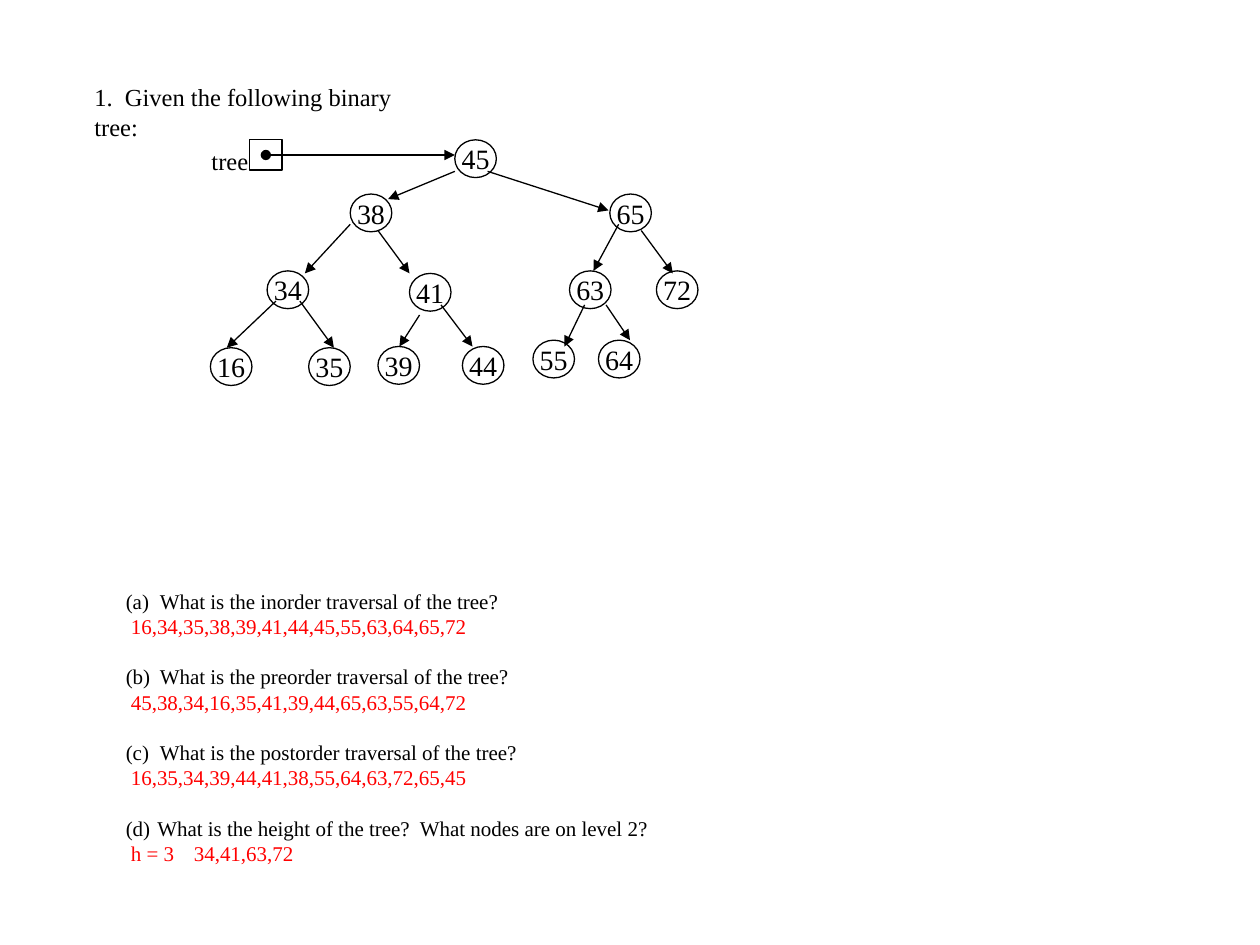
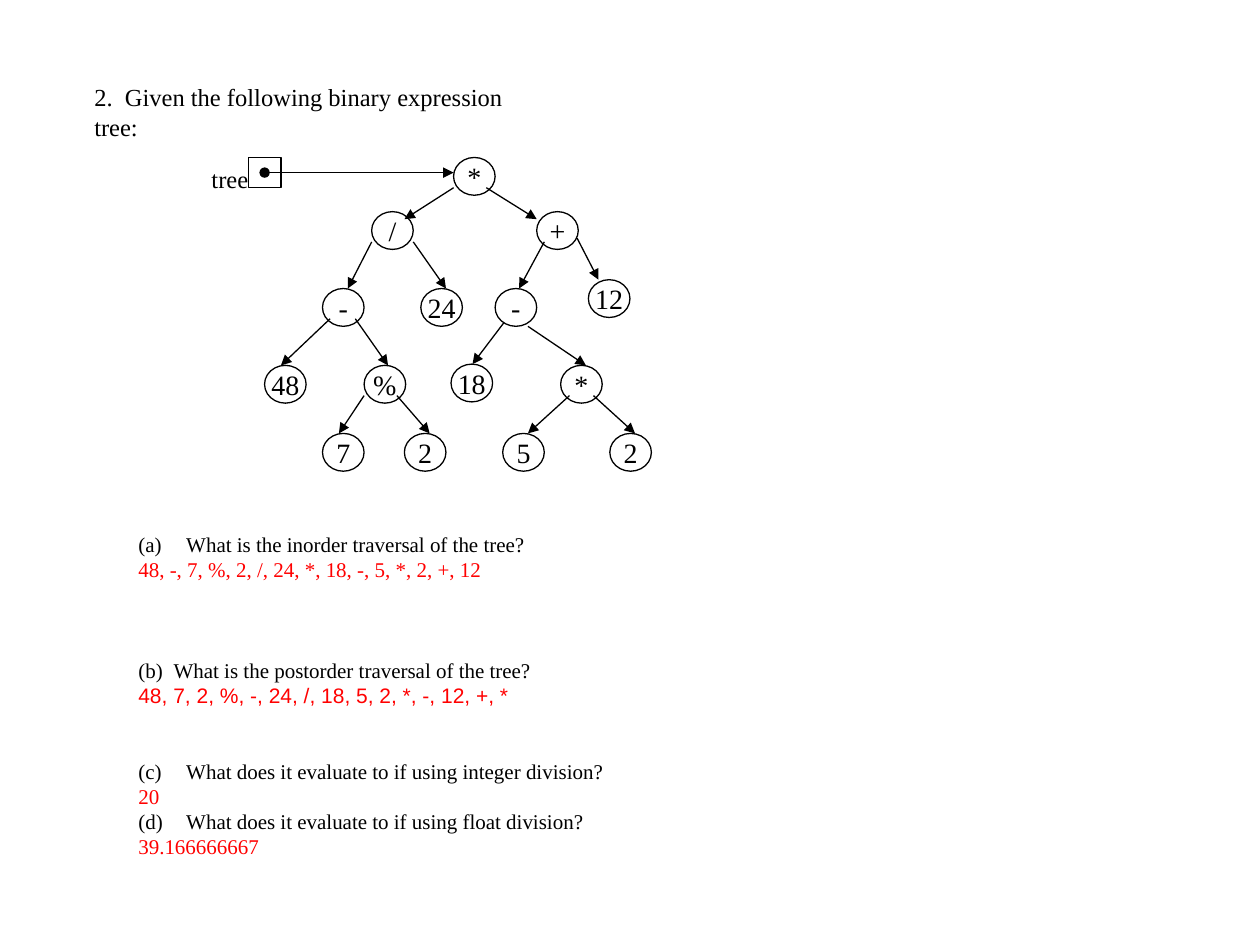
from dataclasses import dataclass

from lxml import etree
from pptx import Presentation
from pptx import util as u
from pptx.dml.color import RGBColor
from pptx.enum import shapes, text
from pptx.oxml.ns import qn

PX = 9144  # EMU per px, 100 px to the inch


def px(length):
    return u.Emu(length * PX)


@dataclass(frozen=True)
class Theme:
    ink: RGBColor = RGBColor(0, 0, 0)
    answer: RGBColor = RGBColor(255, 0, 0)
    serif: str = "Times New Roman"
    sans: str = "Arial"
    prompt_size: int = 14
    prompt_pitch: float = 17
    question_size: int = 12
    question_pitch: float = 14.4
    node_size: int = 16
    line_width: float = 0.75
    node_width: int = 33
    node_height: int = 30


class Worksheet:
    def __init__(self, theme):
        self.theme = theme
        self.deck = Presentation()
        self.deck.slide_width, self.deck.slide_height = px(1000), px(750)

    def new_slide(self):
        self.slide = self.deck.slides.add_slide(self.deck.slide_layouts[6])

    def new_tree(self):
        self.tree = self.slide.shapes.add_group_shape()

    def add_words(self, paragraph, words, size, color=None, font=None):
        run = paragraph.add_run()
        run.text = words
        values = {"size": u.Pt(size), "name": font or self.theme.serif}
        for name, value in values.items():
            setattr(run.font, name, value)
        run.font.color.rgb = color or self.theme.ink

    def frame(self, parent, left, top, width, height, wrap=True):
        box = parent.shapes.add_textbox(*map(px, (left, top, width, height)))
        box.text_frame.word_wrap = wrap
        return box.text_frame

    def prompt(self, words, width):
        paragraph = self.frame(self.slide, 65, 60, width, 33).paragraphs[0]
        paragraph.line_spacing = u.Pt(self.theme.prompt_pitch)
        self.add_words(paragraph, words, self.theme.prompt_size)

    def outline(self, shape):
        shape.shadow.inherit = False
        shape.fill.background()
        shape.line.color.rgb = self.theme.ink
        shape.line.width = u.Pt(self.theme.line_width)

    def node(self, label, left, top):
        t = self.theme
        oval = self.tree.shapes.add_shape(
            shapes.MSO_SHAPE.OVAL, px(left), px(top), px(t.node_width), px(t.node_height))
        self.outline(oval)
        frame = oval.text_frame
        values = {"margin_left": 0, "margin_right": 0, "margin_top": 0, "margin_bottom": 0,
                  "word_wrap": False, "vertical_anchor": text.MSO_ANCHOR.MIDDLE}
        for name, value in values.items():
            setattr(frame, name, value)
        paragraph = frame.paragraphs[0]
        paragraph.alignment = text.PP_ALIGN.CENTER
        self.add_words(paragraph, label, t.node_size)

    def arrow(self, x1, y1, x2, y2, head=None):
        link = self.tree.shapes.add_connector(
            shapes.MSO_CONNECTOR.STRAIGHT, *map(px, (x1, y1, x2, y2)))
        link.line.color.rgb = self.theme.ink
        link.line.width = u.Pt(self.theme.line_width)
        properties = link._element.spPr
        line = properties.find(qn("a:ln"))
        for end, kind in (("a:headEnd", head), ("a:tailEnd", "triangle")):
            if kind:
                etree.SubElement(line, qn(end), type=kind)
        etree.SubElement(properties, qn("a:effectLst"))

    def root_pointer(self, left, top):
        """Draw the variable box, its name and the arrow to the root node."""
        cell = self.tree.shapes.add_shape(
            shapes.MSO_SHAPE.RECTANGLE, px(left), px(top), px(26), px(24))
        self.outline(cell)
        name = self.frame(self.tree, 158, top, 49, 33, wrap=False)
        self.add_words(name.paragraphs[0], "tree", self.theme.prompt_size)
        self.arrow(left + 13, top + 12, left + 163, top + 12, head="oval")

    def questions(self, area, entries, answer_indent=0, tab=None):
        """Each entry: blank lines above, text indent, question, answer, answer font."""
        t = self.theme
        frame = self.frame(self.slide, *area)
        for number, (gap, indent, question, answer, font) in enumerate(entries, 1):
            asked = frame.paragraphs[0] if number == 1 else frame.add_paragraph()
            replied = frame.add_paragraph()
            for paragraph in (asked, replied):
                paragraph.line_spacing = u.Pt(t.question_pitch)
            asked.space_before = u.Pt(gap * t.question_pitch)
            self.add_words(asked, question, t.question_size)
            self.add_words(replied, answer, t.question_size, t.answer, font)

            numbering = asked._p.get_or_add_pPr()
            numbering.set("marL", str(px(indent)))
            numbering.set("indent", str(px(-indent)))
            etree.SubElement(numbering, qn("a:buFont"), typeface=t.serif)
            etree.SubElement(numbering, qn("a:buAutoNum"),
                             type="alphaLcParenBoth", startAt=str(number))
            margins = replied._p.get_or_add_pPr()
            margins.set("marL", str(px(answer_indent)))
            margins.set("indent", "0")
            if tab and "\t" in answer:
                stops = etree.SubElement(margins, qn("a:tabLst"))
                etree.SubElement(stops, qn("a:tab"), pos=str(px(tab)), algn="l")

    def binary_tree(self, nodes, arrows, pointer):
        self.new_tree()
        for node in nodes:
            self.node(*node)
        for ends in arrows:
            self.arrow(*ends)
        self.root_pointer(*pointer)


SEARCH_NODES = [
    ("45", 361, 111),
    ("38", 278, 154), ("65", 484, 154),
    ("34", 212, 215), ("41", 325, 217), ("63", 452, 215), ("72", 521, 215),
    ("16", 167, 276), ("35", 245, 276), ("39", 300, 275), ("44", 367, 275),
    ("55", 423, 270), ("64", 475, 270),
]
SEARCH_ARROWS = [
    (361, 136, 308, 158), (387, 136, 483, 167),
    (278, 178, 242, 217), (300, 183, 325, 217),
    (491, 178, 471, 215), (509, 183, 534, 217),
    (219, 239, 180, 276), (238, 239, 265, 276),
    (333, 250, 317, 275), (350, 242, 375, 275),
    (464, 242, 448, 275), (481, 242, 500, 270),
]
SEARCH_QUESTIONS = [
    (0, 27, "What is the inorder traversal of the tree?",
     "16,34,35,38,39,41,44,45,55,63,64,65,72", None),
    (1, 27, "What is the preorder traversal of the tree?",
     "45,38,34,16,35,41,39,44,65,63,55,64,72", None),
    (1, 27, "What is the postorder traversal of the tree?",
     "16,35,34,39,44,41,38,55,64,63,72,65,45", None),
    (1, 25, "What is the height of the tree?  What nodes are on level 2?",
     "h = 3\t34,41,63,72", None),
]

EXPRESSION_NODES = [
    ("*", 360, 125),
    ("/", 295, 168), ("+", 426, 168),
    ("-", 256, 229), ("24", 334, 229), ("-", 393, 229), ("12", 467, 222),
    ("48", 210, 290), ("%", 289, 290), ("18", 358, 289), ("*", 445, 290),
    ("7", 256, 344), ("2", 321, 344), ("5", 399, 344), ("2", 484, 344),
]
EXPRESSION_ARROWS = [
    (360, 149, 321, 174), (386, 149, 426, 174),
    (295, 192, 276, 229), (328, 192, 354, 229),
    (432, 192, 412, 229), (458, 189, 475, 222),
    (262, 253, 223, 290), (282, 253, 308, 290),
    (400, 256, 375, 289), (419, 259, 465, 290),
    (289, 314, 269, 344), (315, 314, 341, 344),
    (452, 314, 419, 344), (471, 314, 504, 344),
]
EXPRESSION_QUESTIONS = [
    (0, 38, "What is the inorder traversal of the tree?",
     "48, -, 7, %, 2, /, 24, *, 18, -, 5, *, 2, +, 12", None),
    (3, 28, "What is the postorder traversal of the tree?",
     "48, 7, 2, %, -, 24, /, 18, 5, 2, *, -, 12, +, *", Theme.sans),
    (2, 38, "What does it evaluate to if using integer division?", "20", None),
    (0, 38, "What does it evaluate to if using float division?", "39.166666667", None),
]


def main():
    sheet = Worksheet(Theme())

    sheet.new_slide()
    sheet.prompt("1.  Given the following binary tree:", 285)
    sheet.questions((90, 462, 460, 252), SEARCH_QUESTIONS, answer_indent=4, tab=250)
    sheet.binary_tree(SEARCH_NODES, SEARCH_ARROWS, (198, 111))

    sheet.new_slide()
    sheet.prompt("2.  Given the following binary expression tree:", 373)
    sheet.questions((100, 417, 420, 313), EXPRESSION_QUESTIONS)
    sheet.binary_tree(EXPRESSION_NODES, EXPRESSION_ARROWS, (197, 125))

    sheet.deck.save("out.pptx")


if __name__ == "__main__":
    main()
